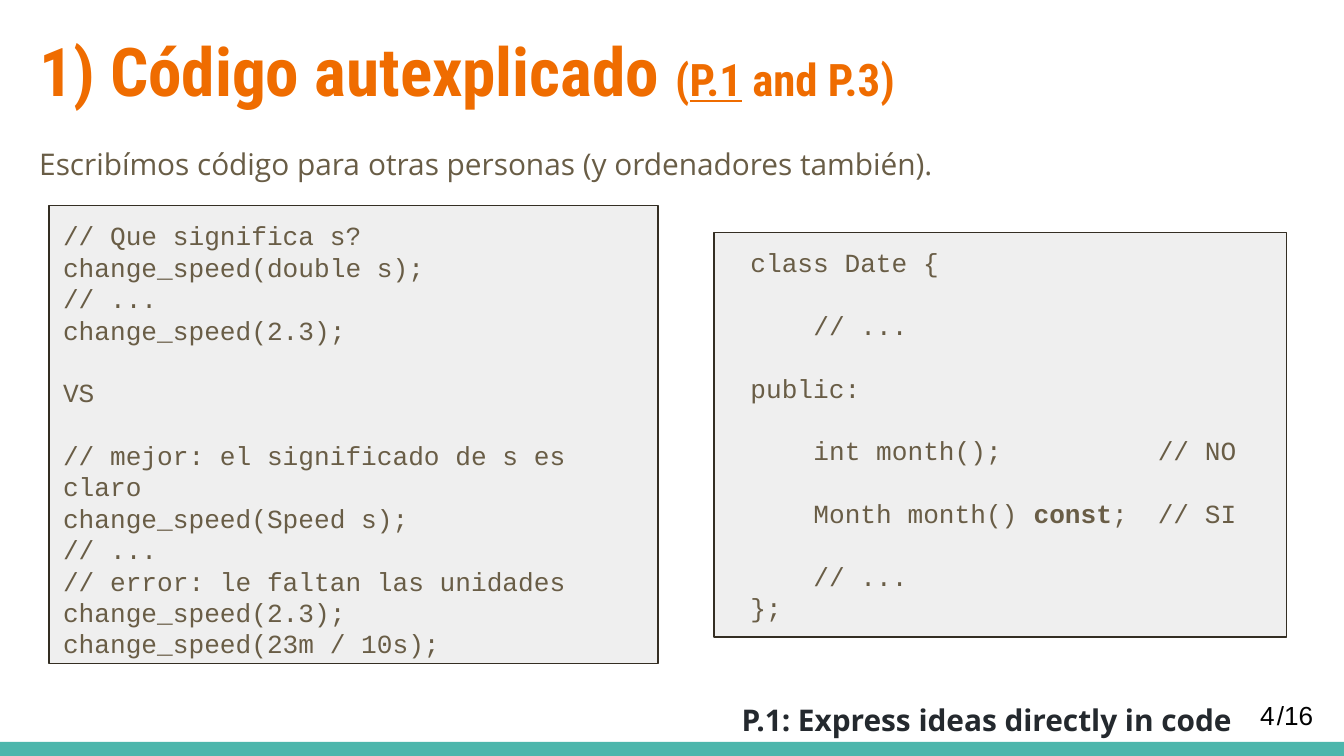
from dataclasses import dataclass

from lxml import etree
from pptx import Presentation
from pptx.dml.color import RGBColor
from pptx.enum.shapes import MSO_SHAPE
from pptx.enum.text import MSO_ANCHOR, PP_ALIGN
from pptx.oxml.ns import qn
from pptx.util import Emu, Pt

RECTANGLE = MSO_SHAPE.RECTANGLE
LEFT, RIGHT = PP_ALIGN.LEFT, PP_ALIGN.RIGHT
TOP, MIDDLE = MSO_ANCHOR.TOP, MSO_ANCHOR.MIDDLE

EMU_PER_PX = 9525
SLIDE_WIDTH, SLIDE_HEIGHT = 960, 540
INSET = 10
CODE_INSET = 26
CODE_TABS = (45, 291)  # columns 4 and 26 of the code font


@dataclass(frozen=True)
class Theme:
    accent: str = "EF6C00"
    bar: str = "4DB6AC"
    body: str = "695D46"
    dark: str = "24292E"
    number: str = "000000"
    panel: str = "EFEFEF"
    outline: str = "342E23"
    title_size: float = 36
    reference_size: float = 24
    body_size: float = 16
    code_size: float = 14
    code_line: float = 16.8
    outline_width: float = 0.75


THEME = Theme()


@dataclass(frozen=True)
class Box:
    left: int
    top: int
    width: int
    height: int


@dataclass(frozen=True)
class Style:
    font: str
    size: float
    color: str
    bold: bool = False
    align: PP_ALIGN = LEFT
    anchor: MSO_ANCHOR = TOP
    line_spacing: float | Pt = 1.0
    before: float = 0
    after: float = 0


@dataclass(frozen=True)
class Run:
    text: str
    bold: bool = False
    underline: bool = False
    size: float | None = None


@dataclass(frozen=True)
class Line:
    runs: tuple[Run, ...]
    gap: bool = False  # leaves one empty code line above


@dataclass(frozen=True)
class Label:
    box: Box
    style: Style
    lines: tuple[Line, ...]


@dataclass(frozen=True)
class CodePanel:
    box: Box
    lines: tuple[Line, ...]
    inset: int = INSET
    tabs: tuple[int, ...] = ()


def px(value: int) -> Emu:
    return Emu(value * EMU_PER_PX)


def line(text: str, gap: bool = False) -> Line:
    return Line((Run(text),), gap)


TITLE = Style("Roboto Condensed", THEME.title_size, THEME.accent, bold=True)
BODY = Style("Open Sans", THEME.body_size, THEME.body, line_spacing=1.15)
RULE = Style("Open Sans", THEME.body_size, THEME.dark, bold=True, align=RIGHT,
             line_spacing=1.25, before=18, after=12)
NUMBER = Style("Arial", THEME.code_size, THEME.number, anchor=MIDDLE)
CODE = Style("Courier New", THEME.code_size, THEME.body,
             line_spacing=Pt(THEME.code_line))

LABELS = (
    Label(Box(18, 11, 815, 74), TITLE, (Line((
        Run("1) Código autexplicado "),
        Run("(", size=THEME.reference_size),
        Run("P.1", underline=True, size=THEME.reference_size),
        Run(" and P.3)", size=THEME.reference_size),
    )),)),
    Label(Box(18, 90, 260, 46), BODY, (line("Escribímos código para"),)),
    Label(Box(253, 90, 482, 46), BODY,
          (line("otras personas (y ordenadores también)."),)),
    Label(Box(0, 485, 890, 46), RULE,
          (line("P.1: Express ideas directly in code"),)),
    Label(Box(890, 490, 58, 41), NUMBER, (line("4"),)),
    Label(Box(902, 490, 58, 41), NUMBER, (line("/16"),)),
)

PANELS = (
    CodePanel(Box(35, 147, 435, 327), (
        line("// Que significa s?"),
        line("change_speed(double s);"),
        line("// ..."),
        line("change_speed(2.3);"),
        line("VS", gap=True),
        line("// mejor: el significado de s es claro", gap=True),
        line("change_speed(Speed s);"),
        line("// ..."),
        line("// error: le faltan las unidades"),
        line("change_speed(2.3);"),
        line("change_speed(23m / 10s);"),
    )),
    CodePanel(Box(510, 166, 409, 289), (
        line("class Date {"),
        line("\t// ...", gap=True),
        line("public:", gap=True),
        line("\tint month();\t// NO", gap=True),
        Line((Run("\tMonth month() "), Run("const", bold=True),
              Run(";\t// SI")), gap=True),
        line("\t// ...", gap=True),
        line("};"),
    ), CODE_INSET, CODE_TABS),
)


def add_tabs(paragraph, tabs: tuple[int, ...]) -> None:
    properties = paragraph._p.get_or_add_pPr()
    tab_list = etree.SubElement(properties, qn("a:tabLst"))
    for position in tabs:
        etree.SubElement(tab_list, qn("a:tab"), pos=str(px(position)), algn="l")


def write(shape, lines: tuple[Line, ...], style: Style, inset: int = INSET,
          tabs: tuple[int, ...] = ()) -> None:
    frame = shape.text_frame
    frame.word_wrap = True
    frame.vertical_anchor = style.anchor
    frame.margin_left = px(inset)
    frame.margin_right = frame.margin_top = frame.margin_bottom = px(INSET)
    for index, content in enumerate(lines):
        paragraph = frame.paragraphs[0] if index == 0 else frame.add_paragraph()
        paragraph.alignment = style.align
        paragraph.line_spacing = style.line_spacing
        paragraph.space_before = Pt(THEME.code_line if content.gap else style.before)
        paragraph.space_after = Pt(style.after)
        if tabs:
            add_tabs(paragraph, tabs)
        for part in content.runs:
            run = paragraph.add_run()
            run.text = part.text
            run.font.name = style.font
            run.font.size = Pt(part.size or style.size)
            run.font.bold = style.bold or part.bold
            run.font.underline = part.underline
            run.font.color.rgb = RGBColor.from_string(style.color)


def add_rectangle(slide, box: Box, fill: str, outline: str | None = None):
    shape = slide.shapes.add_shape(RECTANGLE, px(box.left), px(box.top),
                                   px(box.width), px(box.height))
    shape.shadow.inherit = False
    shape.fill.solid()
    shape.fill.fore_color.rgb = RGBColor.from_string(fill)
    if outline:
        shape.line.color.rgb = RGBColor.from_string(outline)
        shape.line.width = Pt(THEME.outline_width)
    else:
        shape.line.fill.background()
    return shape


def add_label(slide, label: Label) -> None:
    box = label.box
    shape = slide.shapes.add_textbox(px(box.left), px(box.top),
                                     px(box.width), px(box.height))
    write(shape, label.lines, label.style)


def main() -> None:
    presentation = Presentation()
    presentation.slide_width = px(SLIDE_WIDTH)
    presentation.slide_height = px(SLIDE_HEIGHT)
    slide = presentation.slides.add_slide(presentation.slide_layouts[6])

    # Bottom bar
    add_rectangle(slide, Box(0, 530, SLIDE_WIDTH, 10), THEME.bar)
    # Code panels
    for panel in PANELS:
        shape = add_rectangle(slide, panel.box, THEME.panel, THEME.outline)
        write(shape, panel.lines, CODE, panel.inset, panel.tabs)
    # Title, sentence, rule and page number
    for label in LABELS:
        add_label(slide, label)

    presentation.save("out.pptx")


if __name__ == "__main__":
    main()
